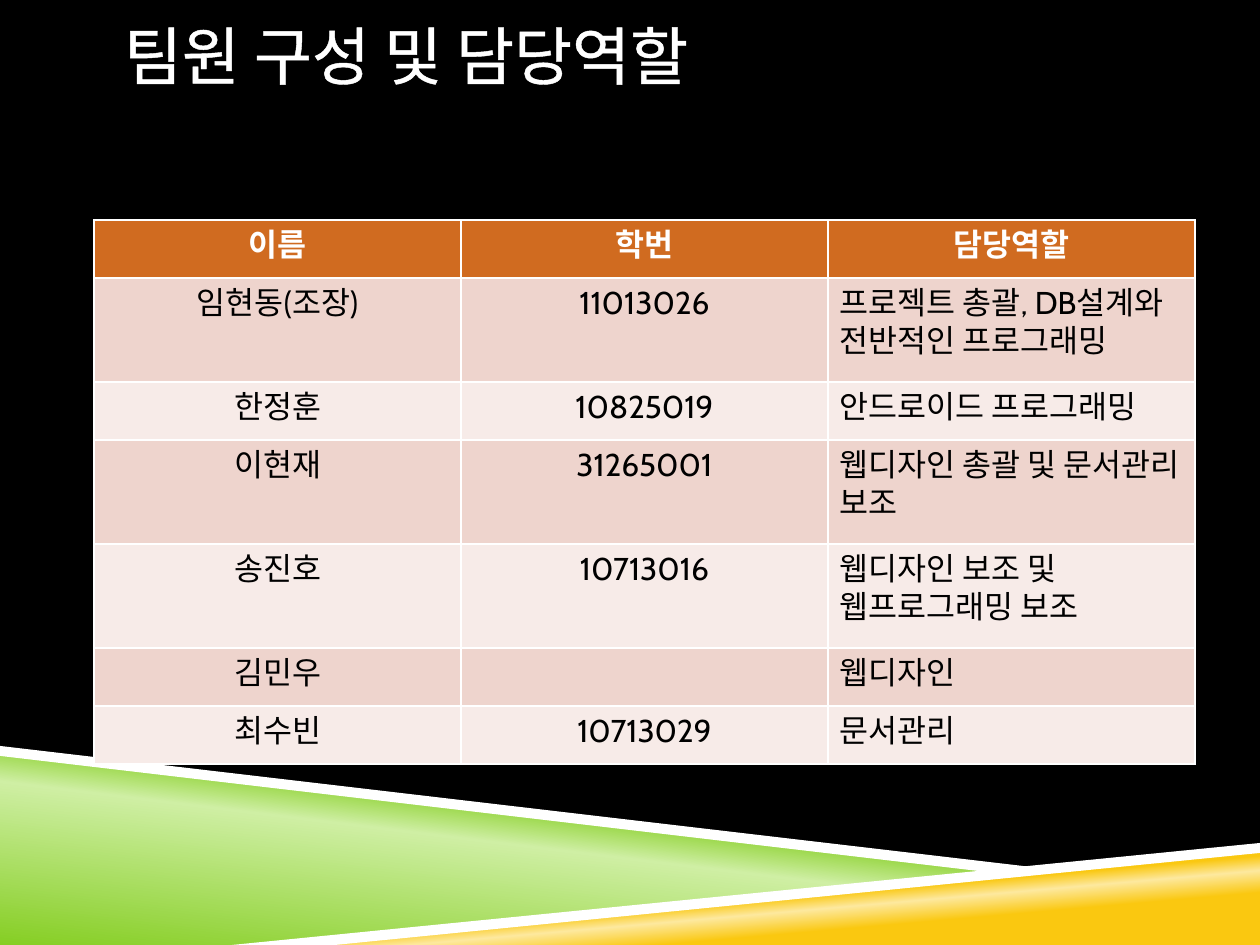
from typing import NamedTuple

from lxml.etree import SubElement
from pptx import Presentation
from pptx.dml.color import RGBColor
from pptx.enum.text import MSO_ANCHOR, PP_ALIGN
from pptx.oxml import parse_xml
from pptx.oxml.ns import nsdecls, qn
from pptx.util import Emu, Pt

EMU_PER_PX = 914400 / 126
FONT = "Cabin"
WHITE, BLACK = "FFFFFF", "000000"
HEADER_FILL = "D06B20"
BAND_FILLS = ("EED4CD", "F7EBE8")


class Gradient(NamedTuple):
    angle: int
    stops: tuple[tuple[int, str], ...]


class Band(NamedTuple):
    points: tuple[tuple[int, int], ...]
    fill: str | Gradient


class Member(NamedTuple):
    name: str
    student_number: str
    role: str
    height: int


ONE_LINE, TWO_LINES = 58, 104
COLUMN_WIDTH = 367
BANDS = (
    Band(((0, 752), (998, 872), (252, 945), (0, 945)),
         Gradient(277, ((0, "86CE24"), (52, "CFEFA4"), (66, "86CE24")))),
    Band(((249, 945), (1260, 847), (1260, 945)),
         Gradient(265, ((28, "FAC810"), (40, "FDE99F"), (48, "FAC810")))),
    Band(((0, 746), (0, 756), (995, 873), (1048, 869)), WHITE),
    Band(((1260, 843), (232, 945), (335, 945), (1260, 853)), WHITE),
)
HEADER = Member("이름", "학번", "담당역할", ONE_LINE)
MEMBERS = (
    Member("임현동(조장)", "11013026", "프로젝트 총괄, DB설계와 전반적인 프로그래밍", TWO_LINES),
    Member("한정훈", "10825019", "안드로이드 프로그래밍", ONE_LINE),
    Member("이현재", "31265001", "웹디자인 총괄 및 문서관리 보조", TWO_LINES),
    Member("송진호", "10713016", "웹디자인 보조 및 웹프로그래밍 보조", TWO_LINES),
    Member("김민우", "", "웹디자인", ONE_LINE),
    Member("최수빈", "10713029", "문서관리", ONE_LINE),
)


def px(length: int) -> Emu:
    return Emu(round(length * EMU_PER_PX))


def rgb(color: str) -> RGBColor:
    return RGBColor.from_string(color)


def set_solid(fill, color: str) -> None:
    fill.solid()
    fill.fore_color.rgb = rgb(color)


def set_gradient(fill, gradient: Gradient) -> None:
    """Replace the default stops, which python-pptx limits to two."""
    fill.gradient()
    element = fill._fill._gradFill
    stop_list = element.find(qn("a:gsLst"))
    for stop in list(stop_list):
        stop_list.remove(stop)
    for position, color in gradient.stops:
        stop = SubElement(stop_list, qn("a:gs"), pos=str(position * 1000))
        SubElement(stop, qn("a:srgbClr"), val=color)
    direction = element.find(qn("a:lin"))
    direction.set("ang", str(gradient.angle * 60000))
    direction.set("scaled", "0")


def draw_band(slide, band: Band) -> None:
    builder = slide.shapes.build_freeform(*band.points[0], scale=EMU_PER_PX)
    builder.add_line_segments(band.points[1:], close=True)
    shape = builder.convert_to_shape()
    shape.shadow.inherit = False
    shape.line.fill.background()
    if isinstance(band.fill, Gradient):
        set_gradient(shape.fill, band.fill)
    else:
        set_solid(shape.fill, band.fill)


def write(text_frame, text: str, size: int, color: str, bold: bool = False,
          align: PP_ALIGN = PP_ALIGN.LEFT) -> None:
    text_frame.text = text
    paragraph = text_frame.paragraphs[0]
    paragraph.alignment = align
    for run in paragraph.runs:
        run.font.name = FONT
        run.font.size = Pt(size)
        run.font.bold = bold
        run.font.color.rgb = rgb(color)
        properties = run.font._element
        properties.set("lang", "ko-KR")
        SubElement(properties, qn("a:ea"), typeface=FONT)


def draw_title(slide, text: str) -> None:
    box = slide.shapes.add_textbox(px(124), px(-24), px(1071), px(157))
    frame = box.text_frame
    frame.word_wrap = True
    frame.vertical_anchor = MSO_ANCHOR.MIDDLE
    frame.margin_left = frame.margin_right = 0
    write(frame, text, 36, WHITE)
    outline = parse_xml(
        f'<a:ln {nsdecls("a")} w="{Pt(1.45)}"><a:solidFill>'
        f'<a:srgbClr val="{WHITE}"/></a:solidFill></a:ln>')
    frame.paragraphs[0].runs[0].font._element.insert(0, outline)


def draw_table(slide, rows: tuple[Member, ...]) -> None:
    """Draw the table; its default style supplies the white cell borders."""
    height = sum(row.height for row in rows)
    table = slide.shapes.add_table(
        len(rows), 3, px(94), px(220), px(3 * COLUMN_WIDTH), px(height)).table
    for column in table.columns:
        column.width = px(COLUMN_WIDTH)
    for row_index, member in enumerate(rows):
        table.rows[row_index].height = px(member.height)
        is_header = row_index == 0
        fill = HEADER_FILL if is_header else BAND_FILLS[(row_index - 1) % 2]
        texts = (member.name, member.student_number, member.role)
        for column_index, text in enumerate(texts):
            cell = table.cell(row_index, column_index)
            centred = is_header or column_index < 2
            write(cell.text_frame, text, 18, WHITE if is_header else BLACK,
                  is_header, PP_ALIGN.CENTER if centred else PP_ALIGN.LEFT)
            cell.margin_left = cell.margin_right = px(12)
            cell.margin_top = cell.margin_bottom = px(6)
            set_solid(cell.fill, fill)


def main() -> None:
    presentation = Presentation()
    presentation.slide_width = px(1260)
    presentation.slide_height = px(945)
    slide = presentation.slides.add_slide(presentation.slide_layouts[6])
    set_solid(slide.background.fill, BLACK)
    for band in BANDS:
        draw_band(slide, band)
    draw_title(slide, "팀원 구성 및 담당역할")
    draw_table(slide, (HEADER, *MEMBERS))
    presentation.save("out.pptx")


if __name__ == "__main__":
    main()
